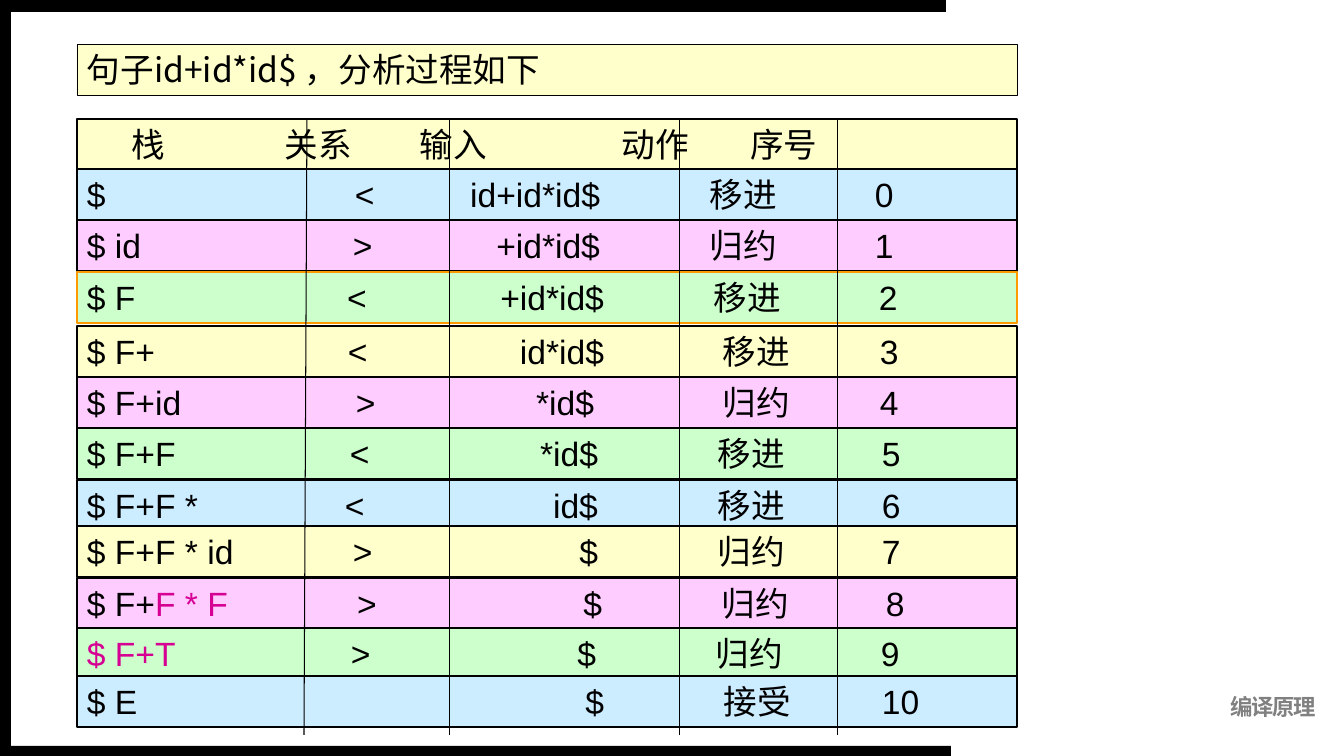
from lxml import etree
from pptx import Presentation
from pptx.dml.color import RGBColor
from pptx.enum.shapes import MSO_CONNECTOR as CONN, MSO_SHAPE as SHAPE
from pptx.enum.text import MSO_ANCHOR as ANCHOR, PP_ALIGN as ALIGN
from pptx.oxml.ns import qn
from pptx.util import Emu, Pt

PX = 914400 / 100.8
SLIDE_W, SLIDE_H = 1344, 756
LATIN, CJK = "Arial", "Noto Sans CJK SC"
BLACK, PINK = "000000", "D60093"
YELLOW, BLUE, ROSE, GREEN = "FFFFCC", "CCECFF", "FFCCFF", "CCFFCC"

BARS = [(0, 0, 946, 12), (0, 746, 951, 10), (0, 5, 11, 751)]
TITLE = "句子id+id*id$ ，分析过程如下"
FOOTER = "编译原理"
BOX_LEFT, BOX_W, BOX_H = 77, 940, 51
TITLE_TOP, TEXT_LEFT, HEADER_TEXT_LEFT = 44, 87, 132

# stack, relation, input, action, step
HEADER = ("栈", "关系", "输入", "动作", "序号")
HEADER_TOP, HEADER_STOPS = 119, (285, 487, 622, 750)

# top, fill, black stack, pink stack, other cells, tab stops
ROWS = [
    (169, BLUE, "$", "", ("<", "id+id*id$", "移进", "0"), (355, 600, 710, 875)),
    (220, ROSE, "$ id", "", (">", "+id*id$", "归约", "1"), (353, 600, 710, 875)),
    (272, GREEN, "$ F", "", ("<", "+id*id$", "移进", "2"), (347, 604, 714, 879)),
    (326, YELLOW, "$ F+", "", ("<", "id*id$", "移进", "3"), (348, 604, 723, 880)),
    (377, ROSE, "$ F+id", "", (">", "*id$", "归约", "4"), (356, 594, 723, 880)),
    (428, GREEN, "$ F+F", "", ("<", "*id$", "移进", "5"), (350, 598, 718, 882)),
    (480, BLUE, "$ F+F *", "", ("<", "id$", "移进", "6"), (345, 598, 718, 882)),
    (526, YELLOW, "$ F+F * id", "", (">", "$", "归约", "7"), (353, 598, 718, 882)),
    (578, ROSE, "$ F+", "F * F", (">", "$", "归约", "8"), (357, 602, 722, 886)),
    (628, GREEN, "", "$ F+T", (">", "$", "归约", "9"), (351, 596, 716, 881)),
    (676, BLUE, "$ E", "", ("", "$", "接受", "10"), (345, 604, 724, 882)),
]
ORANGE_ROW, ORANGE = 272, "FF9900"
STOP_ALIGNS = ("l", "r", "l", "l")
COLUMN_LINES = [(307, 304), (450, 450), (680, 680), (838, 838)]
LINES_TOP, LINES_BOTTOM = 119, 735


def px(n):
    return Emu(round(n * PX))


def rgb(color):
    return RGBColor.from_string(color)


def add_run(p, text, font=LATIN, color=BLACK, size=24, bold=None):
    r = p.add_run()
    r.text = text
    r.font.name, r.font.size, r.font.bold = font, Pt(size), bold
    r.font.color.rgb = rgb(color)
    rPr = r.font._element
    etree.SubElement(rPr, qn("a:ea")).set("typeface", CJK)
    return r


def add_rect(left, top, width, height, fill, line=None, weight=1):
    s = shapes.add_shape(SHAPE.RECTANGLE, *map(px, (left, top, width, height)))
    s.shadow.inherit = False
    s.fill.solid()
    s.fill.fore_color.rgb = rgb(fill)
    if line:
        s.line.color.rgb = rgb(line)
        s.line.width = Pt(weight)
    else:
        s.line.fill.background()
    return s


def add_strip(top, fill, text_left=TEXT_LEFT, stops=(), line=BLACK, weight=1):
    """Add a full-width box and return its paragraph, with tab stops set."""
    s = add_rect(BOX_LEFT, top, BOX_W, BOX_H, fill, line, weight)
    tf = s.text_frame
    tf.word_wrap = True
    tf.vertical_anchor = ANCHOR.MIDDLE
    tf.margin_left = px(text_left - BOX_LEFT)
    tf.margin_top = tf.margin_bottom = 0
    p = tf.paragraphs[0]
    p.alignment = ALIGN.LEFT
    if stops:
        tabs = etree.SubElement(p._p.get_or_add_pPr(), qn("a:tabLst"))
        for x, align in zip(stops, STOP_ALIGNS):
            tab = etree.SubElement(tabs, qn("a:tab"))
            tab.set("pos", str(px(x - text_left)))
            tab.set("algn", align)
    return p


prs = Presentation()
prs.slide_width, prs.slide_height = px(SLIDE_W), px(SLIDE_H)
shapes = prs.slides.add_slide(prs.slide_layouts[6]).shapes

footer = shapes.add_textbox(px(1109), px(689), px(207), px(31))
tf = footer.text_frame
tf.word_wrap = True
tf.margin_left = tf.margin_right = tf.margin_bottom = 0
tf.margin_top = px(4)
p = tf.paragraphs[0]
p.alignment = ALIGN.RIGHT
r = add_run(p, FOOTER, CJK, "808080", 16, True)
r.font._element.set("spc", "-100")

for bar in BARS:
    add_rect(*bar, BLACK)

p = add_strip(HEADER_TOP, YELLOW, HEADER_TEXT_LEFT, HEADER_STOPS)
add_run(p, "\t".join(HEADER), CJK)

for top, fill, stack, pink_stack, cells, stops in ROWS:
    line = ORANGE if top == ORANGE_ROW else BLACK
    p = add_strip(top, fill, stops=stops, line=line)
    if stack:
        add_run(p, stack)
    if pink_stack:
        add_run(p, pink_stack, color=PINK)
    add_run(p, "\t" + "\t".join(cells))

for x_top, x_bottom in COLUMN_LINES:
    s = shapes.add_connector(CONN.STRAIGHT, px(x_top), px(LINES_TOP),
                             px(x_bottom), px(LINES_BOTTOM))
    s.line.color.rgb = rgb(BLACK)
    s.line.width = Pt(0.75)
    etree.SubElement(s._element.spPr, qn("a:effectLst"))

add_run(add_strip(TITLE_TOP, YELLOW, weight=0.25), TITLE, CJK)

prs.save("out.pptx")
